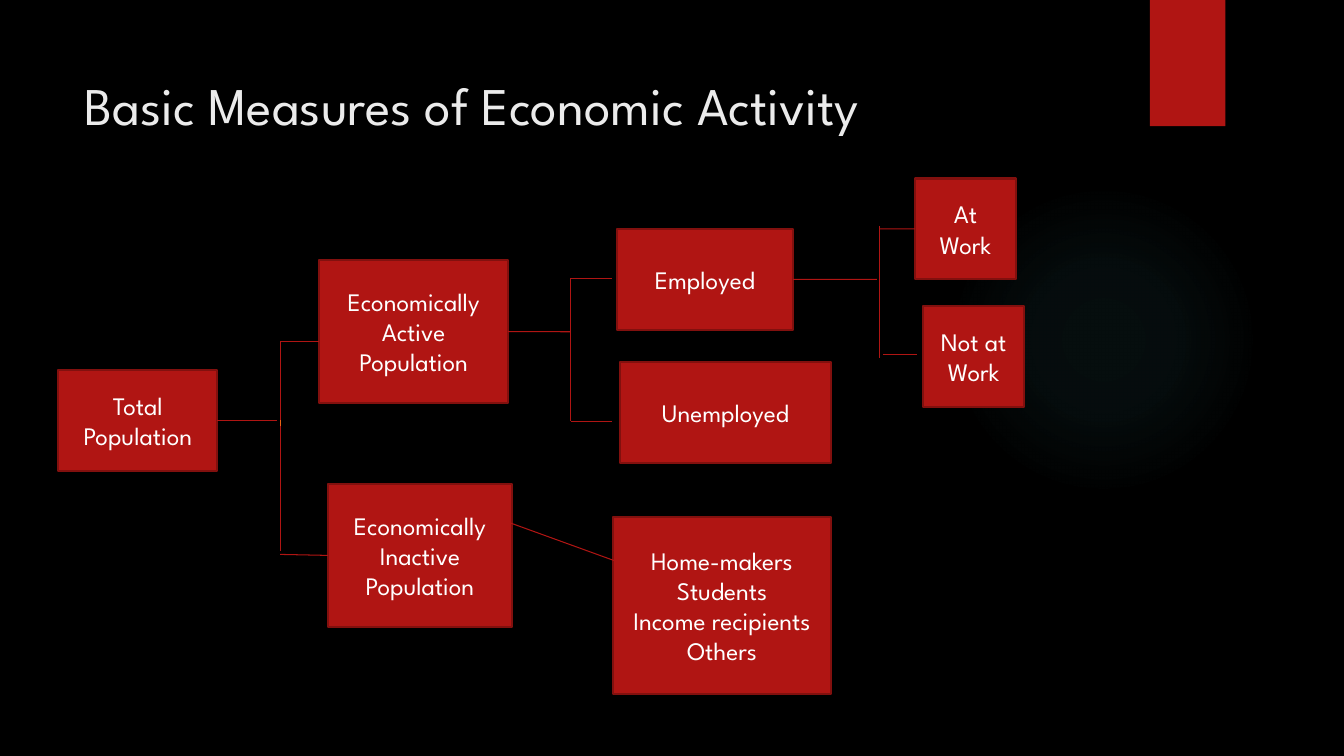
from dataclasses import dataclass
from typing import Optional

from lxml.etree import SubElement
from pptx import Presentation
from pptx.dml.color import RGBColor
from pptx.enum.shapes import MSO_CONNECTOR, MSO_SHAPE
from pptx.enum.text import MSO_ANCHOR, PP_ALIGN
from pptx.oxml import parse_xml
from pptx.oxml.ns import nsdecls, qn
from pptx.shapes.autoshape import Shape
from pptx.slide import Slide
from pptx.text.text import TextFrame
from pptx.util import Cm, Pt


@dataclass(frozen=True)
class Theme:
    font: str = "League Spartan"
    background: str = "000000"
    red: str = "B01513"
    border: str = "82100E"
    orange: str = "EA6312"
    glow: str = "50B9C1"
    heading: str = "EBEBEB"
    label: str = "FFFFFF"
    heading_size: float = 37.8
    label_size: float = 18
    border_width: float = 1.5
    branch_width: float = 0.75


@dataclass(frozen=True)
class Category:
    key: str
    lines: tuple[str, ...]
    left: float
    top: float
    width: float
    height: float = 2.54


@dataclass(frozen=True)
class Branch:
    x1: float
    y1: float
    x2: float
    y2: float
    source: Optional[str] = None
    target: Optional[str] = None
    color: str = Theme.red


THEME = Theme()
LEFT_SIDE, RIGHT_SIDE = 1, 3
POPULATION_X, ACTIVE_X, EMPLOYED_X = 7.06, 14.38, 22.17

CATEGORIES = (
    Category("total", ("Total Population",), 1.47, 9.32, 4.01),
    Category("active", ("Economically Active Population",), 8.05, 6.55, 4.75, 3.61),
    Category("inactive", ("Economically Inactive Population",), 8.26, 12.19, 4.65, 3.61),
    Category("employed", ("Employed",), 15.54, 5.77, 4.45),
    Category("unemployed", ("Unemployed",), 15.62, 9.12, 5.33),
    Category("at work", ("At Work",), 23.06, 4.5, 2.54),
    Category("not at work", ("Not at Work",), 23.27, 7.72, 2.54),
    Category(
        "inactive groups",
        ("Home-makers", "Students", "Income recipients", "Others"),
        15.44, 13.03, 5.51, 4.45,
    ),
)

BRANCHES = (
    Branch(5.48, 10.59, 6.99, 10.59, source="total"),
    Branch(POPULATION_X, 8.61, POPULATION_X, 13.89),
    Branch(POPULATION_X, 8.61, 8.05, 8.61),
    Branch(POPULATION_X, 13.97, 8.26, 14, target="inactive"),
    Branch(POPULATION_X, 10.59, POPULATION_X, 10.74, color=THEME.orange),
    Branch(12.8, 8.36, ACTIVE_X, 8.36, source="active"),
    Branch(ACTIVE_X, 7.01, ACTIVE_X, 10.62),
    Branch(ACTIVE_X, 7.01, 15.42, 7.01),
    Branch(ACTIVE_X, 10.62, 15.42, 10.62),
    Branch(19.99, 7.04, 22.1, 7.04, source="employed"),
    Branch(EMPLOYED_X, 5.69, EMPLOYED_X, 9.02),
    Branch(EMPLOYED_X, 5.77, 23.06, 5.77, target="at work"),
    Branch(22.25, 8.94, 23.11, 8.94),
    Branch(12.73, 13.13, 15.6, 14.17),
)


def rgb(color: str) -> RGBColor:
    return RGBColor.from_string(color)


def write_lines(
    frame: TextFrame, lines: tuple[str, ...], size: float, color: str, align: PP_ALIGN
) -> None:
    frame.word_wrap = True
    for index, line in enumerate(lines):
        paragraph = frame.add_paragraph() if index else frame.paragraphs[0]
        paragraph.alignment = align
        run = paragraph.add_run()
        run.text = line
        run.font.name = THEME.font
        run.font.size = Pt(size)
        run.font.color.rgb = rgb(color)


def draw_glow(slide: Slide) -> None:
    glow = slide.shapes.add_shape(MSO_SHAPE.OVAL, Cm(23.9), Cm(4.65), Cm(7.82), Cm(7.82))
    glow.shadow.inherit = False
    glow.line.fill.background()
    stops = "".join(
        f'<a:gs pos="{position * 1000}"><a:srgbClr val="{THEME.glow}">'
        f'<a:alpha val="{opacity * 1000}"/></a:srgbClr></a:gs>'
        for position, opacity in ((0, 7), (36, 6), (69, 0), (100, 0))
    )
    gradient = parse_xml(
        f'<a:gradFill {nsdecls("a")} rotWithShape="1"><a:gsLst>{stops}</a:gsLst>'
        '<a:path path="circle"><a:fillToRect l="50000" t="50000" r="50000" b="50000"/>'
        "</a:path></a:gradFill>"
    )
    glow.element.spPr.find(qn("a:prstGeom")).addnext(gradient)


def draw_ribbon(slide: Slide) -> None:
    ribbon = slide.shapes.add_shape(MSO_SHAPE.RECTANGLE, Cm(28.98), Cm(0), Cm(1.9), Cm(3.18))
    ribbon.shadow.inherit = False
    ribbon.fill.solid()
    ribbon.fill.fore_color.rgb = rgb(THEME.red)
    ribbon.line.fill.background()


def draw_heading(slide: Slide) -> None:
    heading = slide.shapes.add_textbox(Cm(1.88), Cm(1.7), Cm(23.88), Cm(2.34))
    heading.text_frame.vertical_anchor = MSO_ANCHOR.TOP
    write_lines(
        heading.text_frame, ("Basic Measures of Economic Activity",),
        THEME.heading_size, THEME.heading, PP_ALIGN.LEFT,
    )


def draw_category(slide: Slide, category: Category) -> Shape:
    box = slide.shapes.add_shape(
        MSO_SHAPE.RECTANGLE,
        Cm(category.left), Cm(category.top), Cm(category.width), Cm(category.height),
    )
    box.shadow.inherit = False
    box.fill.solid()
    box.fill.fore_color.rgb = rgb(THEME.red)
    box.line.color.rgb = rgb(THEME.border)
    box.line.width = Pt(THEME.border_width)
    box.text_frame.vertical_anchor = MSO_ANCHOR.MIDDLE
    write_lines(
        box.text_frame, category.lines, THEME.label_size, THEME.label, PP_ALIGN.CENTER
    )
    return box


def draw_branch(slide: Slide, branch: Branch, boxes: dict[str, Shape]) -> None:
    connector = slide.shapes.add_connector(
        MSO_CONNECTOR.STRAIGHT,
        Cm(branch.x1), Cm(branch.y1), Cm(branch.x2), Cm(branch.y2),
    )
    connector.line.color.rgb = rgb(branch.color)
    connector.line.width = Pt(THEME.branch_width)
    SubElement(connector.element.spPr, qn("a:effectLst"))
    if branch.source:
        connector.begin_connect(boxes[branch.source], RIGHT_SIDE)
    if branch.target:
        connector.end_connect(boxes[branch.target], LEFT_SIDE)


def main() -> None:
    presentation = Presentation()
    presentation.slide_width = Cm(33.87)
    presentation.slide_height = Cm(19.05)
    slide = presentation.slides.add_slide(presentation.slide_layouts[6])
    slide.background.fill.solid()
    slide.background.fill.fore_color.rgb = rgb(THEME.background)
    draw_glow(slide)
    draw_ribbon(slide)
    draw_heading(slide)
    boxes = {category.key: draw_category(slide, category) for category in CATEGORIES}
    for branch in BRANCHES:
        draw_branch(slide, branch, boxes)
    presentation.save("out.pptx")


if __name__ == "__main__":
    main()
